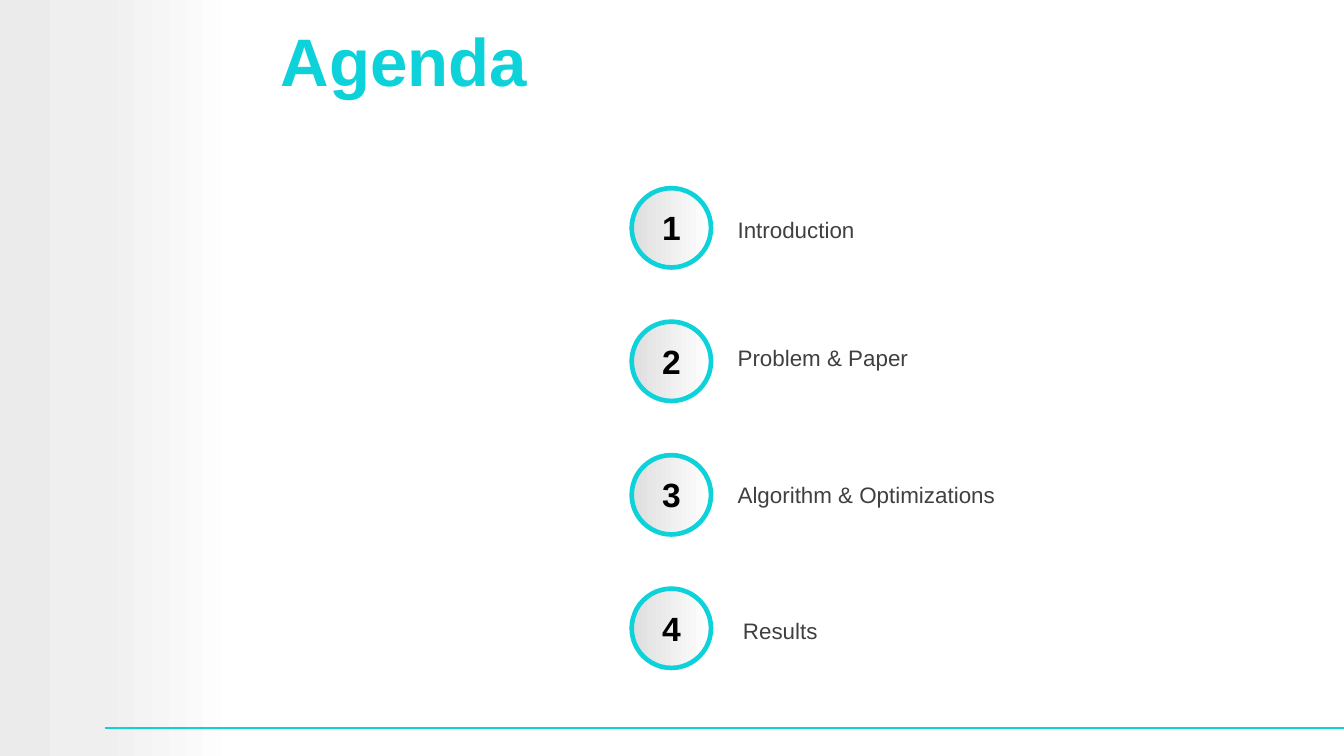
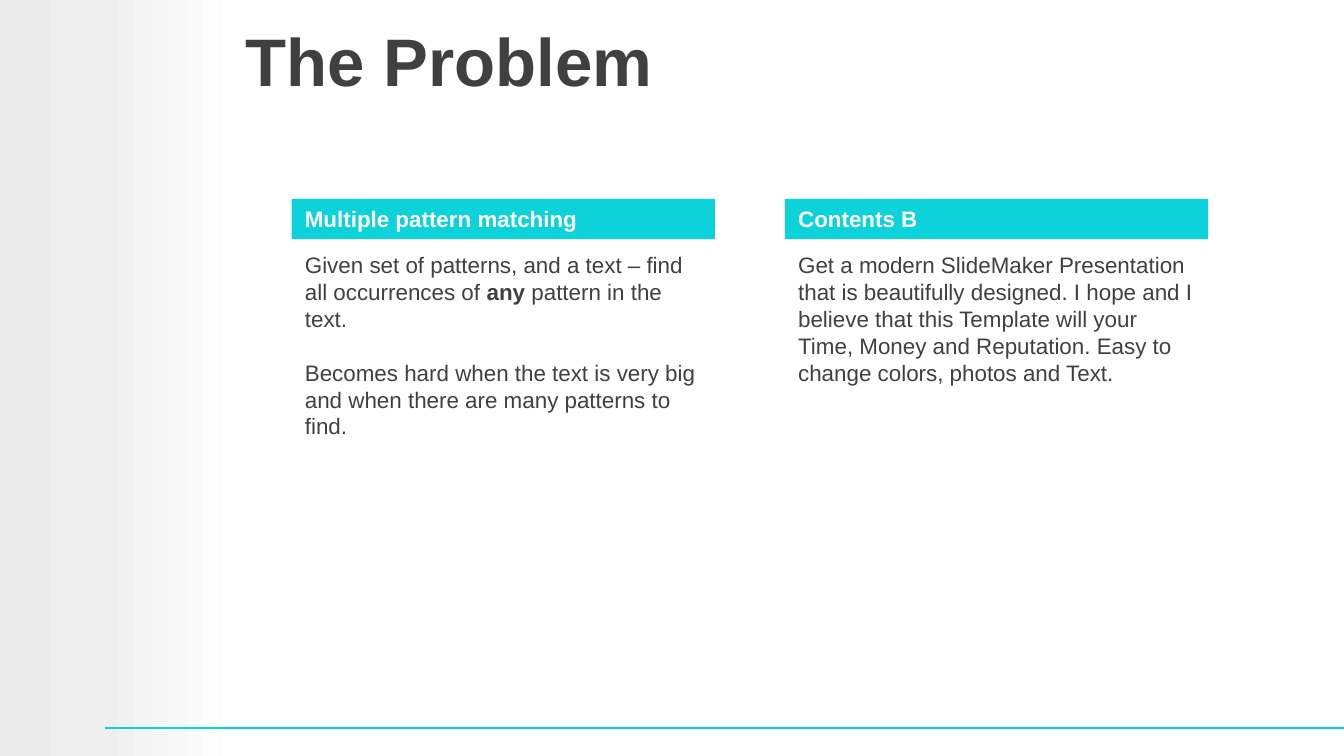
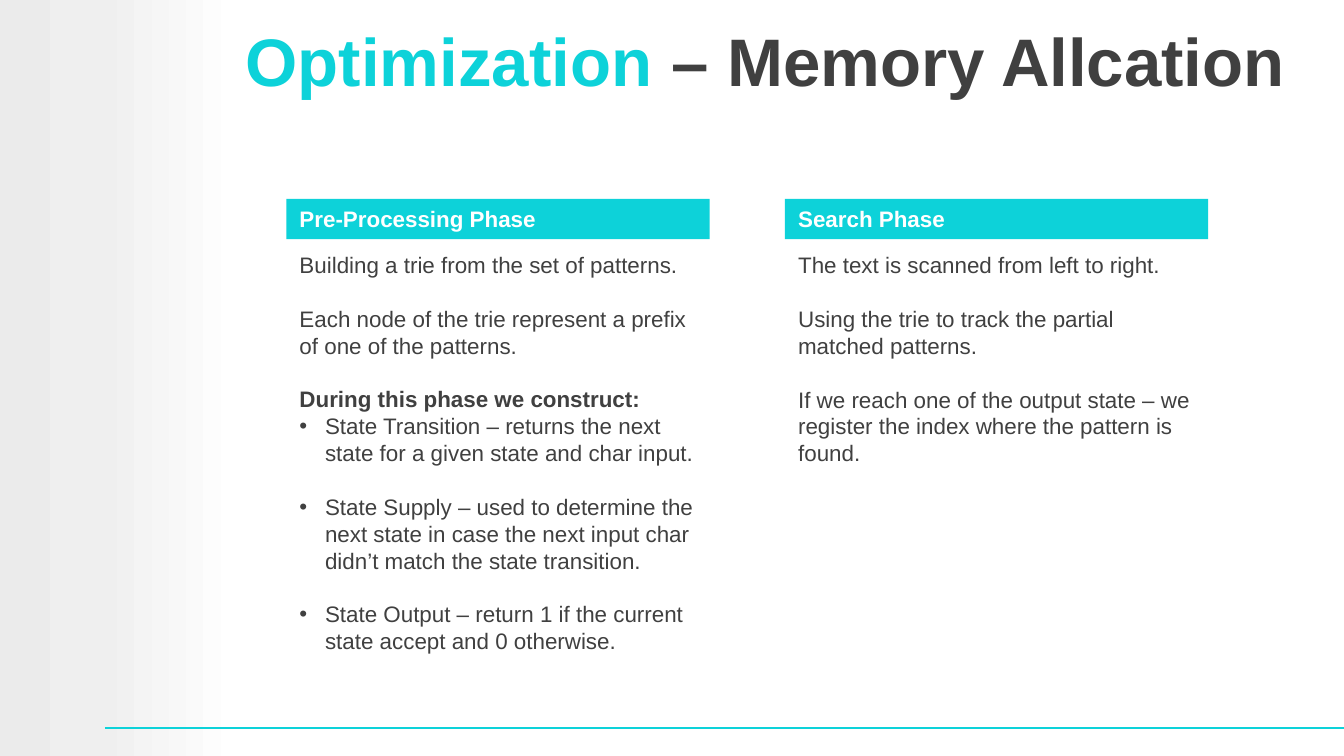
from dataclasses import dataclass

from lxml import etree
from pptx import Presentation
from pptx.dml.color import RGBColor
from pptx.enum.shapes import MSO_CONNECTOR, MSO_SHAPE
from pptx.enum.text import MSO_ANCHOR, PP_ALIGN
from pptx.oxml.ns import qn
from pptx.util import Inches, Pt

CYAN = RGBColor(0x0D, 0xD2, 0xD9)
DARK = RGBColor(0x40, 0x40, 0x40)
BLACK = RGBColor(0x00, 0x00, 0x00)
WHITE = RGBColor(0xFF, 0xFF, 0xFF)
SILVER = RGBColor(0xDE, 0xDE, 0xDE)
PALE = RGBColor(0xEB, 0xEB, 0xEB)
MIST = RGBColor(0xEF, 0xEF, 0xEF)

FONT = "Arial"
WIDTH = 10
HEIGHT = WIDTH * 9 / 16
LINE_HEIGHT = Pt(14.4)
COLUMN_WIDTH = 3.15
RIGHT_COLUMN = 5.84
FIRST_BADGE, LAST_BADGE = 1.4, 4.38


@dataclass
class Para:
    """A body paragraph; text between ** marks is bold."""
    text: str
    gap: bool = True
    bullet: bool = False


class Deck:
    def __init__(self):
        self.prs = Presentation()
        self.prs.slide_width = Inches(WIDTH)
        self.prs.slide_height = Inches(HEIGHT)
        self.slide = None

    def new_slide(self, *title_runs, indent=0.0):
        """Start a slide with the side band, the footer line and the title."""
        self.slide = self.prs.slides.add_slide(self.prs.slide_layouts[6])
        band = self.shape(MSO_SHAPE.RECTANGLE, 0, 0, 1.77, HEIGHT)
        self.gradient(band, (0, PALE), (42, MIST), (100, WHITE))
        self.line(0.78, 5.42, WIDTH, 5.42)

        title = self.text_box(1.73, 0.02, 8.27, 0.85, MSO_ANCHOR.MIDDLE)
        title.margin_left = Inches(0.1 + indent)
        for text, color in title_runs:
            self.run(title.paragraphs[0], text, 36, color, bold=True)

    def shape(self, kind, left, top, width, height):
        shape = self.slide.shapes.add_shape(
            kind, Inches(left), Inches(top), Inches(width), Inches(height))
        shape.shadow.inherit = False
        shape.line.fill.background()
        return shape

    def gradient(self, shape, *stops):
        """Fill from left to right with (percent, colour) stops."""
        shape.fill.gradient()
        shape.fill.gradient_angle = 0
        stop_list = shape._element.spPr.find(qn("a:gradFill")).find(qn("a:gsLst"))
        for old_stop in list(stop_list):
            stop_list.remove(old_stop)
        for percent, color in stops:
            stop = etree.SubElement(stop_list, qn("a:gs"), pos=str(percent * 1000))
            etree.SubElement(stop, qn("a:srgbClr"), val=str(color))

    def line(self, x1, y1, x2, y2):
        line = self.slide.shapes.add_connector(
            MSO_CONNECTOR.STRAIGHT, Inches(x1), Inches(y1), Inches(x2), Inches(y2))
        line.line.color.rgb = CYAN
        line.line.width = Pt(1)
        etree.SubElement(line._element.spPr, qn("a:effectLst"))

    def text_box(self, left, top, width, height, anchor=MSO_ANCHOR.TOP):
        frame = self.slide.shapes.add_textbox(
            Inches(left), Inches(top), Inches(width), Inches(height)).text_frame
        frame.word_wrap = True
        frame.vertical_anchor = anchor
        return frame

    def run(self, paragraph, text, size, color, bold=False):
        run = paragraph.add_run()
        run.text = text
        run.font.name = FONT
        run.font.size = Pt(size)
        run.font.bold = bold
        run.font.color.rgb = color

    def number_badge(self, top, number):
        circle = self.shape(MSO_SHAPE.OVAL, 4.7, top, 0.59, 0.59)
        self.gradient(circle, (0, SILVER), (100, WHITE))
        circle.line.color.rgb = CYAN
        circle.line.width = Pt(2.5)
        frame = self.text_box(4.8, top + 0.09, 0.39, 0.4, MSO_ANCHOR.MIDDLE)
        frame.paragraphs[0].alignment = PP_ALIGN.CENTER
        self.run(frame.paragraphs[0], str(number), 18, BLACK, bold=True)

    def label(self, left, top, text):
        frame = self.text_box(left, top, 3.83, 0.3)
        self.run(frame.paragraphs[0], text, 12, DARK)

    def column(self, left, heading, body_height, *paras):
        """A cyan heading bar over a body of paragraphs."""
        body = self.text_box(left, 1.82, COLUMN_WIDTH, body_height)
        for i, para in enumerate(paras):
            paragraph = body.add_paragraph() if i else body.paragraphs[0]
            paragraph.line_spacing = LINE_HEIGHT
            if i and para.gap:
                paragraph.space_before = LINE_HEIGHT
            if para.bullet:
                self.bullet(paragraph)
            for j, part in enumerate(para.text.split("**")):
                if part:
                    self.run(paragraph, part, 12, DARK, bold=j % 2 == 1)

        bar = self.shape(MSO_SHAPE.RECTANGLE, left, 1.48, COLUMN_WIDTH, 0.3)
        bar.fill.solid()
        bar.fill.fore_color.rgb = CYAN
        bar.text_frame.word_wrap = True
        bar.text_frame.vertical_anchor = MSO_ANCHOR.TOP
        title = bar.text_frame.paragraphs[0]
        title.alignment = PP_ALIGN.LEFT
        title.line_spacing = LINE_HEIGHT
        self.run(title, heading, 12, WHITE, bold=True)

    def bullet(self, paragraph):
        properties = paragraph._p.get_or_add_pPr()
        properties.set("marL", str(Inches(0.19)))
        properties.set("indent", str(-Inches(0.19)))
        etree.SubElement(properties, qn("a:buFont"), typeface=FONT)
        etree.SubElement(properties, qn("a:buChar"), char="•")


def main():
    deck = Deck()

    # Agenda
    deck.new_slide(("Agenda", CYAN), indent=0.26)
    topics = [
        (5.39, 1.56, "Introduction"),
        (5.39, 2.51, "Problem & Paper"),
        (5.39, 3.53, "Algorithm & Optimizations"),
        (5.43, 4.54, "Results"),
    ]
    badge_step = (LAST_BADGE - FIRST_BADGE) / (len(topics) - 1)
    for i, (left, top, topic) in enumerate(topics):
        deck.number_badge(FIRST_BADGE + i * badge_step, i + 1)
        deck.label(left, top, topic)

    # The problem
    deck.new_slide(("The Problem", DARK))
    deck.column(
        2.17, "Multiple pattern matching", 1.92,
        Para("Given set of patterns, and a text – find all occurrences of "
             "**any** pattern in the text."),
        Para("Becomes hard when the text is very big and when there are many "
             "patterns to find."))
    deck.column(
        RIGHT_COLUMN, "Contents B", 1.51,
        Para("Get a modern SlideMaker Presentation that is beautifully designed. "
             "I hope and I believe that this Template will your Time, Money and "
             "Reputation. Easy to change colors, photos and Text."))

    # Memory allocation
    deck.new_slide(("Optimization ", CYAN), ("– Memory Allcation", DARK))
    deck.column(
        2.13, "Pre-Processing Phase", 3.33,
        Para("Building a trie from the set of patterns."),
        Para("Each node of the trie represent a prefix of one of the patterns."),
        Para("**During this phase we construct:**"),
        Para("State Transition – returns the next state for a given state and "
             "char input.", gap=False, bullet=True),
        Para("State Supply – used to determine the next state in case the next "
             "input char didn’t match the state transition.", bullet=True),
        Para("State Output – return 1 if the current state accept and 0 "
             "otherwise.", bullet=True))
    deck.column(
        RIGHT_COLUMN, "Search Phase", 1.72,
        Para("The text is scanned from left to right."),
        Para("Using the trie to track the partial"),
        Para("matched patterns.", gap=False),
        Para("If we reach one of the output state – we register the index where "
             "the pattern is found."))

    deck.prs.save("out.pptx")


if __name__ == "__main__":
    main()
